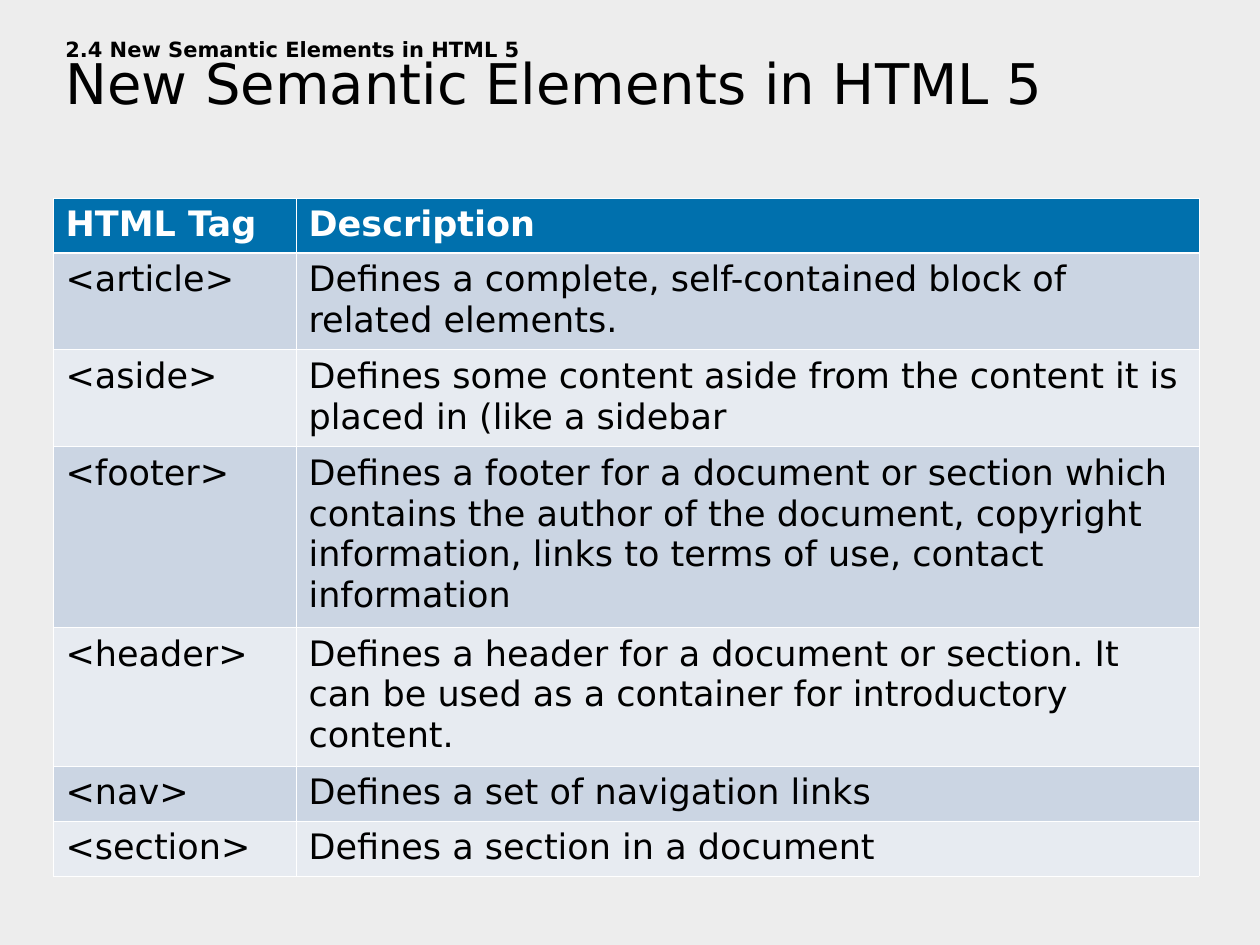
from copy import deepcopy

from lxml import etree
from pptx import Presentation
from pptx import util as u
from pptx.dml.color import RGBColor
from pptx.enum import text
from pptx.oxml.ns import qn

SCALE = 914400 // 126
FONT = "DejaVu Sans"
ROWS = [
    ("HTML Tag", "Description", 54),
    ("<article>", "Defines a complete, self-contained block of related elements.", 97),
    ("<aside>", "Defines some content aside from the content it is placed in (like a sidebar", 97),
    ("<footer>", "Defines a footer for a document or section which contains the author of "
     "the document, copyright information, links to terms of use, contact information", 180),
    ("<header>", "Defines a header for a document or section. It can be used as a container "
     "for introductory content.", 138),
    ("<nav>", "Defines a set of navigation links", 55),
    ("<section>", "Defines a section in a document", 55),
]


def px(n):
    """Turn pixels into EMU."""
    return u.Emu(n * SCALE)


def paint(fill, color):
    """Give a fill one solid colour."""
    fill.solid()
    fill.fore_color.rgb = RGBColor.from_string(color)


def style(r, size, color, bold):
    """Format one run."""
    r.font.name = FONT
    r.font.size = u.Pt(size)
    r.font.bold = bold
    r.font.color.rgb = RGBColor.from_string(color)


def set_borders(cell, color, widths):
    """Draw the left, right, top and bottom borders of a cell."""
    tcPr = cell._tc.get_or_add_tcPr()
    for i, (side, width) in enumerate(zip("LRTB", widths)):
        ln = etree.Element(qn(f"a:ln{side}"), w=str(u.Pt(width)))
        fill = etree.SubElement(ln, qn("a:solidFill"))
        etree.SubElement(fill, qn("a:srgbClr"), val=color)
        tcPr.insert(i, ln)


def add_title(s, x, y, w, h):
    """Add the section label and the title in one box."""
    tf = s.shapes.add_textbox(px(x), px(y), px(w), px(h)).text_frame
    tf.word_wrap = True
    tf.vertical_anchor = text.MSO_ANCHOR.MIDDLE
    p = tf.paragraphs[0]
    p.text = "2.4 New Semantic Elements in HTML 5 \vNew Semantic Elements in HTML 5"
    p.line_spacing = 0.8
    label, title = p.runs
    style(label, 12, "000000", True)
    style(title, 32, "000000", False)
    p._p.find(qn("a:br")).append(deepcopy(label._r.rPr))


def add_tag_table(s, x, y, w, tag_w):
    """Add the table of tags and their descriptions."""
    height = sum(row[-1] for row in ROWS)
    table = s.shapes.add_table(len(ROWS), 2, px(x), px(y), px(w), px(height)).table
    table.columns[0].width = px(tag_w)
    table.columns[1].width = px(w - tag_w)
    for i, (*words, row_h) in enumerate(ROWS):
        table.rows[i].height = px(row_h)
        header = i == 0
        fill = "0070AD" if header else ("E7EBF1", "CBD5E3")[i % 2]
        top, bottom = 1.47 if i == 1 else 0.45, 1.47 if header else 0.45
        for cell, word in zip(table.rows[i].cells, words):
            cell.text = word
            style(cell.text_frame.paragraphs[0].runs[0], 20,
                  "FFFFFF" if header else "000000", header)
            paint(cell.fill, fill)
            set_borders(cell, "FFFFFF", (0.45, 0.45, top, bottom))


def main():
    """Build the slide and save it."""
    prs = Presentation()
    prs.slide_width, prs.slide_height = px(1260), px(945)
    s = prs.slides.add_slide(prs.slide_layouts[6])
    paint(s.background.fill, "EDEDED")
    add_title(s, 53, 29, 1124, 98)
    add_tag_table(s, 53, 198, 1146, 243)
    prs.save("out.pptx")


if __name__ == "__main__":
    main()
